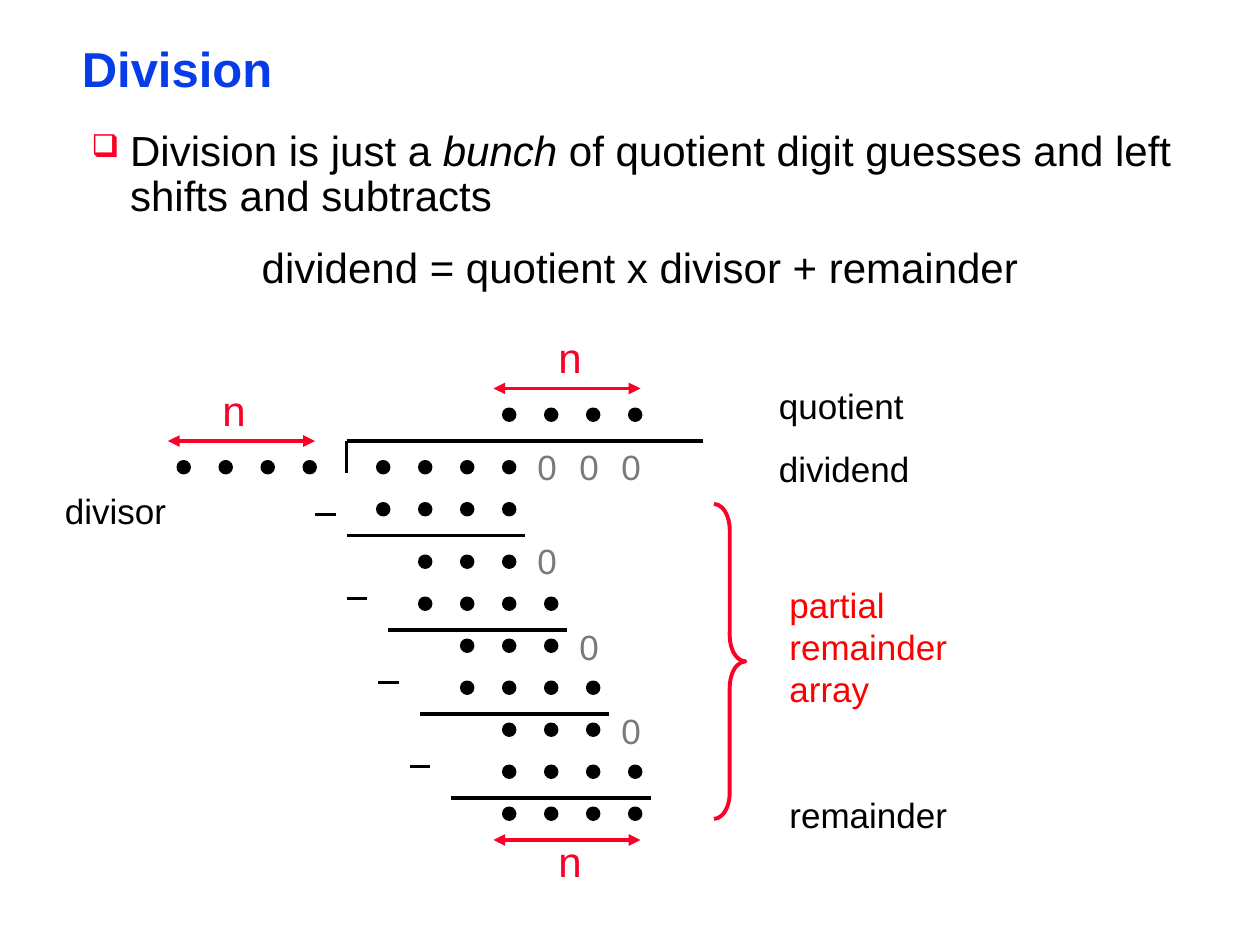
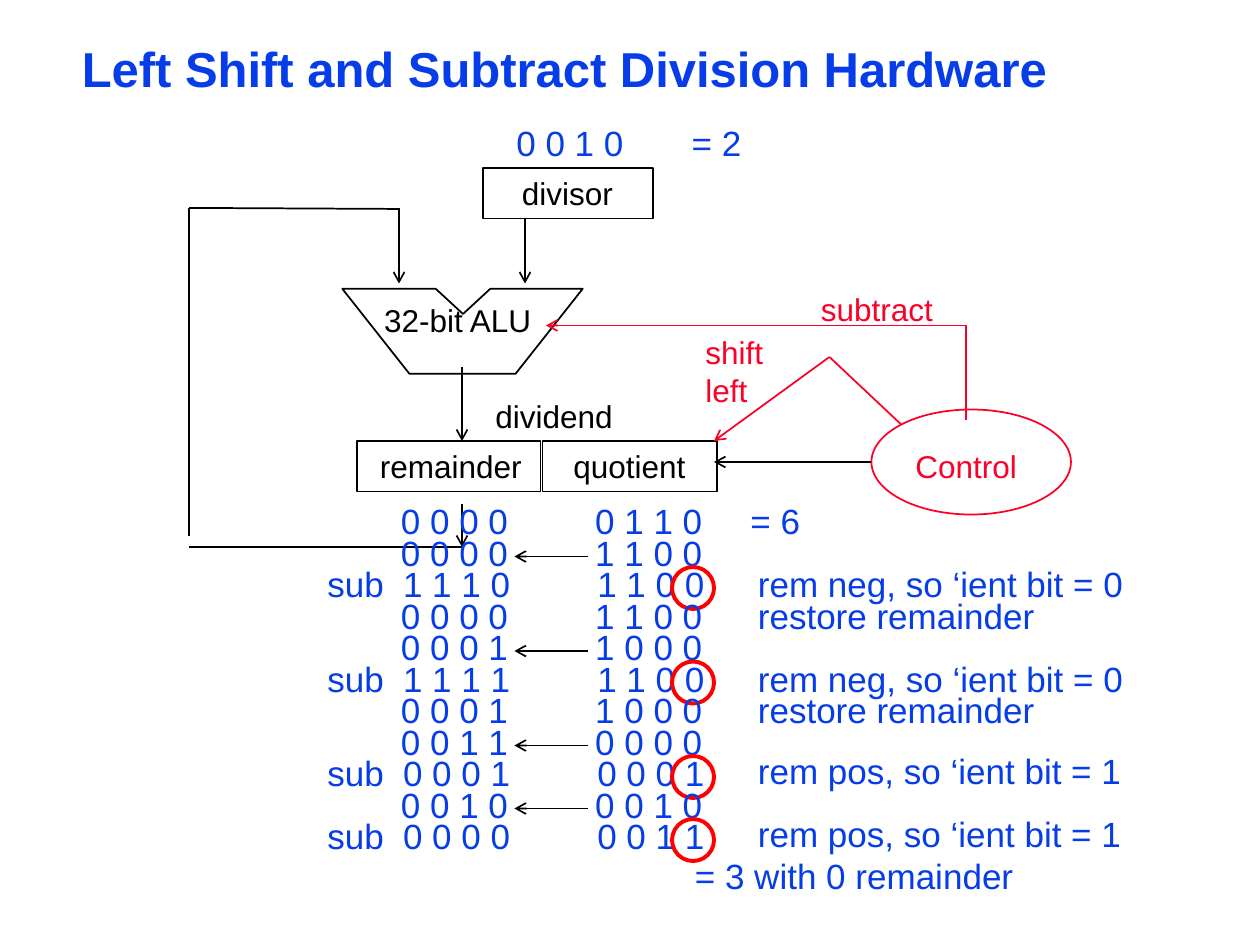
"""Build two slides on binary division."""
import dataclasses

import lxml.etree
import pptx
import pptx.dml.color
import pptx.enum.shapes
import pptx.enum.text
import pptx.oxml.ns
import pptx.slide
import pptx.text.text
import pptx.util

SCALE = 7620
FONT = "Arial"
HUES = {"black": "000000", "blue": "063DE8", "crimson": "FC0128", "red": "FF0000", "gray": "7A7A7A"}
KIND = pptx.enum.shapes.MSO_SHAPE


@dataclasses.dataclass
class Label:
    """Text at a place."""
    text: str
    x: int
    y: int
    w: int
    hue: str = "black"
    size: int = 20


@dataclasses.dataclass
class Line:
    """Straight line with arrowheads."""
    x: int
    y: int
    x2: int
    y2: int
    hue: str = "black"
    head: str = ""
    tail: str = ""


@dataclasses.dataclass
class Shape:
    """Preset shape with an optional fill."""
    kind: KIND
    x: int
    y: int
    w: int
    h: int
    hue: str = "black"
    width: float = 2.25
    fill: str = ""


@dataclasses.dataclass
class Dots:
    """Row of digits drawn as dots."""
    x: int
    y: int
    count: int = 4


@dataclasses.dataclass
class Step:
    """One step of the worked example."""
    rem: str
    quo: str
    mark: str = ""
    note: str = ""
    lift: int = 0


def px(num: int) -> int:
    """Turn px into EMU."""
    return num * SCALE


def rgb(hue: str) -> pptx.dml.color.RGBColor:
    """Look up a colour."""
    return pptx.dml.color.RGBColor.from_string(HUES[hue])


def child(top: lxml.etree._Element, tag: str, **attrs: str) -> lxml.etree._Element:
    """Append a drawing element."""
    return lxml.etree.SubElement(top, pptx.oxml.ns.qn(f"a:{tag}"), attrs)


def style(para: pptx.text.text._Paragraph, size: int, hue: str) -> None:
    """Set the font of a paragraph."""
    para.font.name = FONT
    para.font.size = pptx.util.Pt(size)
    para.font.color.rgb = rgb(hue)


def setup(frame: pptx.text.text.TextFrame, left: int, top: int) -> None:
    """Set wrap, anchor and insets."""
    frame.word_wrap = True
    frame.vertical_anchor = pptx.enum.text.MSO_ANCHOR.TOP
    frame.margin_left, frame.margin_right = px(left), px(8)
    frame.margin_top = frame.margin_bottom = px(top)


def fill_text(frame: pptx.text.text.TextFrame, text: str, size: int, hue: str) -> None:
    """Write lines in one font."""
    frame.text = text
    for para in frame.paragraphs:
        para.alignment = pptx.enum.text.PP_ALIGN.LEFT
        style(para, size, hue)


def add_label(slide: pptx.slide.Slide, item: Label) -> None:
    """Draw a label."""
    high = 52 + 36 * item.text.count("\n")
    frame = slide.shapes.add_textbox(*map(px, (item.x, item.y, item.w, high))).text_frame
    setup(frame, 12, 6)
    fill_text(frame, item.text, item.size, item.hue)


def add_line(slide: pptx.slide.Slide, item: Line, width: float) -> None:
    """Draw a line."""
    kind = pptx.enum.shapes.MSO_CONNECTOR.STRAIGHT
    link = slide.shapes.add_connector(kind, *map(px, (item.x, item.y, item.x2, item.y2)))
    link.line.color.rgb = rgb(item.hue)
    link.line.width = pptx.util.Pt(width)
    pen = link.line._get_or_add_ln()
    for tag, end in (("headEnd", item.head), ("tailEnd", item.tail)):
        if end:
            child(pen, tag, type=end)
    child(link._element.spPr, "effectLst")


def paint(form, hue: str, width: float, fill: str = ""):
    """Set outline, fill and shadow."""
    form.shadow.inherit = False
    form.line.color.rgb = rgb(hue)
    form.line.width = pptx.util.Pt(width)
    if fill:
        form.fill.solid()
        form.fill.fore_color.rgb = rgb(fill)
    else:
        form.fill.background()
    return form


def add_form(slide: pptx.slide.Slide, item: Shape):
    """Draw a preset shape."""
    form = slide.shapes.add_shape(item.kind, *map(px, (item.x, item.y, item.w, item.h)))
    return paint(form, item.hue, item.width, item.fill)


def add_box(slide: pptx.slide.Slide, x: int, y: int, w: int, text: str = "", left: int = 12) -> None:
    """Draw a register box."""
    form = add_form(slide, Shape(KIND.RECTANGLE, x, y, w, 48, width=0.75))
    if text:
        setup(form.text_frame, left, 6)
        fill_text(form.text_frame, text, 18, "black")


def add_slide(deck, title: str) -> pptx.slide.Slide:
    """Add a blank slide with a title."""
    slide = deck.slides.add_slide(deck.slide_layouts[6])
    frame = slide.shapes.add_textbox(*map(px, (70, 40, 1070, 55))).text_frame
    setup(frame, 8, 4)
    fill_text(frame, title, 28, "blue")
    frame.paragraphs[0].font.bold = True
    frame.paragraphs[0].line_spacing = 0.87
    return slide


def add_body(slide: pptx.slide.Slide) -> None:
    """Write the bullet and the formula."""
    frame = slide.shapes.add_textbox(*map(px, (79, 120, 1061, 169))).text_frame
    setup(frame, 8, 4)
    point, rule = frame.paragraphs[0], frame.add_paragraph()
    for para in (point, rule):
        props = para._p.get_or_add_pPr()
        props.set("marL", str(px(37)))
        props.set("indent", str(px(-37)))
    props = point._p.get_or_add_pPr()
    child(child(props, "buClr"), "srgbClr", val=HUES["crimson"])
    child(props, "buSzPct", val="75000")
    child(props, "buChar", char="❑")
    child(rule._p.get_or_add_pPr(), "buNone")
    for text in ("Division is just a ", "bunch", " of quotient digit guesses and left shifts and subtracts"):
        run = point.add_run()
        run.text = text
        run.font.italic = text == "bunch"
    rule.text = "dividend = quotient x divisor + remainder"
    rule.alignment = pptx.enum.text.PP_ALIGN.CENTER
    rule.space_before = pptx.util.Pt(15)
    for para in (point, rule):
        para.line_spacing = 0.9
        style(para, 24, "black")


def draw_theory(deck) -> None:
    """Draw the long division slide."""
    slide = add_slide(deck, "Division")
    add_body(slide)
    rows = [Dots(480, 390), Dots(170, 440), Dots(360, 440), Dots(360, 480), Dots(400, 530, 3),
            Dots(400, 570), Dots(440, 610, 3), Dots(440, 650), Dots(480, 690, 3),
            Dots(480, 730), Dots(480, 770)]
    for row in rows:
        for col in range(row.count):
            add_form(slide, Shape(KIND.OVAL, row.x + 40 * col, row.y, 10, 10, fill="black"))
    lines = [Line(330, 420, 670, 420), Line(330, 420, 330, 450), Line(330, 510, 500, 510),
             Line(370, 600, 540, 600), Line(400, 680, 580, 680), Line(430, 760, 620, 760)]
    lines += [Line(x, y, x + 20, y) for x, y in ((300, 490), (330, 570), (360, 650), (390, 730))]
    lines += [Line(x, y, x + 140, y, "crimson", "triangle", "triangle")
              for x, y in ((160, 420), (470, 370), (470, 800))]
    for line in lines:
        add_line(slide, line, 2.25)
    brace = add_form(slide, Shape(KIND.RIGHT_BRACE, 680, 480, 30, 300, "crimson"))
    brace.adjustments[0] = 0.83
    labels = [Label("quotient", 730, 360, 220), Label("dividend", 730, 420, 210),
              Label("divisor", 50, 460, 210), Label("partial\nremainder\narray", 740, 550, 210, "red"),
              Label("remainder", 740, 750, 260)]
    labels += [Label("n", x, y, 70, "crimson", 24) for x, y in ((200, 360), (520, 310), (520, 790))]
    labels += [Label("0", x, y, 40, "gray")
               for x, y in ((500, 418), (540, 418), (580, 418), (500, 508), (540, 590), (580, 670))]
    for label in labels:
        add_label(slide, label)


def draw_steps(slide: pptx.slide.Slide) -> None:
    """Draw the worked example."""
    neg, pos = (f"rem {sign}, so ‘ient bit = {bit}" for sign, bit in (("neg", 0), ("pos", 1)))
    back = "restore remainder"
    steps = [Step("0 0 0 0", "0 1 1 0"), Step("0 0 0 0", "1 1 0 0", "shift"),
             Step("1 1 1 0", "1 1 0 0", "sub", neg), Step("0 0 0 0", "1 1 0 0", note=back),
             Step("0 0 0 1", "1 0 0 0", "shift"), Step("1 1 1 1", "1 1 0 0", "sub", neg),
             Step("0 0 0 1", "1 0 0 0", note=back), Step("0 0 1 1", "0 0 0 0", "shift"),
             Step("0 0 0 1", "0 0 0 1", "sub", pos, 2), Step("0 0 1 0", "0 0 1 0", "shift"),
             Step("0 0 0 0", "0 0 1 1", "sub", pos, 2)]
    for num, step in enumerate(steps):
        y = 470 + 30 * num
        nudge = 2 if step.mark == "sub" else 0
        add_label(slide, Label(step.rem, 370 + nudge, y, 140, "blue"))
        add_label(slide, Label(step.quo, 555 + nudge, y, 140, "blue"))
        if step.note:
            add_label(slide, Label(step.note, 710, y - step.lift, 400, "blue"))
        if step.mark == "sub":
            add_label(slide, Label("sub", 300, y, 80, "blue"))
            add_form(slide, Shape(KIND.OVAL, 640, y + 10, 40, 40, "red"))
        elif step.mark == "shift":
            add_line(slide, Line(560, y + 30, 490, y + 30, tail="arrow"), 1)
    for text, x, y in (("0 0 1 0", 480, 110), ("= 2", 647, 110), ("= 6", 703, 470),
                       ("= 3 with 0 remainder", 650, 808)):
        add_label(slide, Label(text, x, y, 28 + 17 * len(text), "blue"))


def draw_machine(deck) -> None:
    """Draw the division hardware slide."""
    slide = add_slide(deck, "Left Shift and Subtract Division Hardware")
    pen = slide.shapes.build_freeform(326, 275, scale=SCALE)
    pen.add_line_segments([(415, 275), (441, 299), (467, 275), (555, 275), (491, 356), (390, 356)])
    paint(pen.convert_to_shape(), "black", 1)
    add_box(slide, 460, 160, 162, "divisor", 37)
    add_box(slide, 340, 420, 175)
    add_box(slide, 517, 420, 166, "quotient", 29)
    add_form(slide, Shape(KIND.OVAL, 830, 390, 190, 100, "crimson", 1))
    lines = [Line(440, 350, 440, 420, tail="arrow"), Line(500, 209, 500, 270, tail="arrow"),
             Line(440, 480, 440, 521, tail="arrow"), Line(440, 521, 180, 521),
             Line(180, 510, 180, 198), Line(180, 198, 380, 199),
             Line(380, 198, 380, 270, tail="arrow"), Line(680, 440, 830, 440, head="arrow"),
             Line(920, 310, 520, 310, "crimson", tail="arrow"), Line(920, 310, 920, 400, "crimson"),
             Line(858, 404, 790, 340, "crimson"), Line(790, 340, 680, 420, "crimson", tail="arrow")]
    for line in lines:
        add_line(slide, line, 1)
    for label in (Label("32-bit ALU", 354, 281, 180, size=18),
                  Label("dividend", 460, 372, 150, size=18),
                  Label("remainder", 350, 420, 175, size=18),
                  Label("Control", 860, 420, 140, "crimson", 18),
                  Label("subtract", 770, 270, 150, "crimson", 18),
                  Label("shift\nleft", 660, 311, 90, "crimson", 18)):
        add_label(slide, label)
    draw_steps(slide)


def main() -> None:
    """Build and save the deck."""
    deck = pptx.Presentation()
    deck.slide_width, deck.slide_height = px(1200), px(900)
    draw_theory(deck)
    draw_machine(deck)
    deck.save("out.pptx")


if __name__ == "__main__":
    main()
